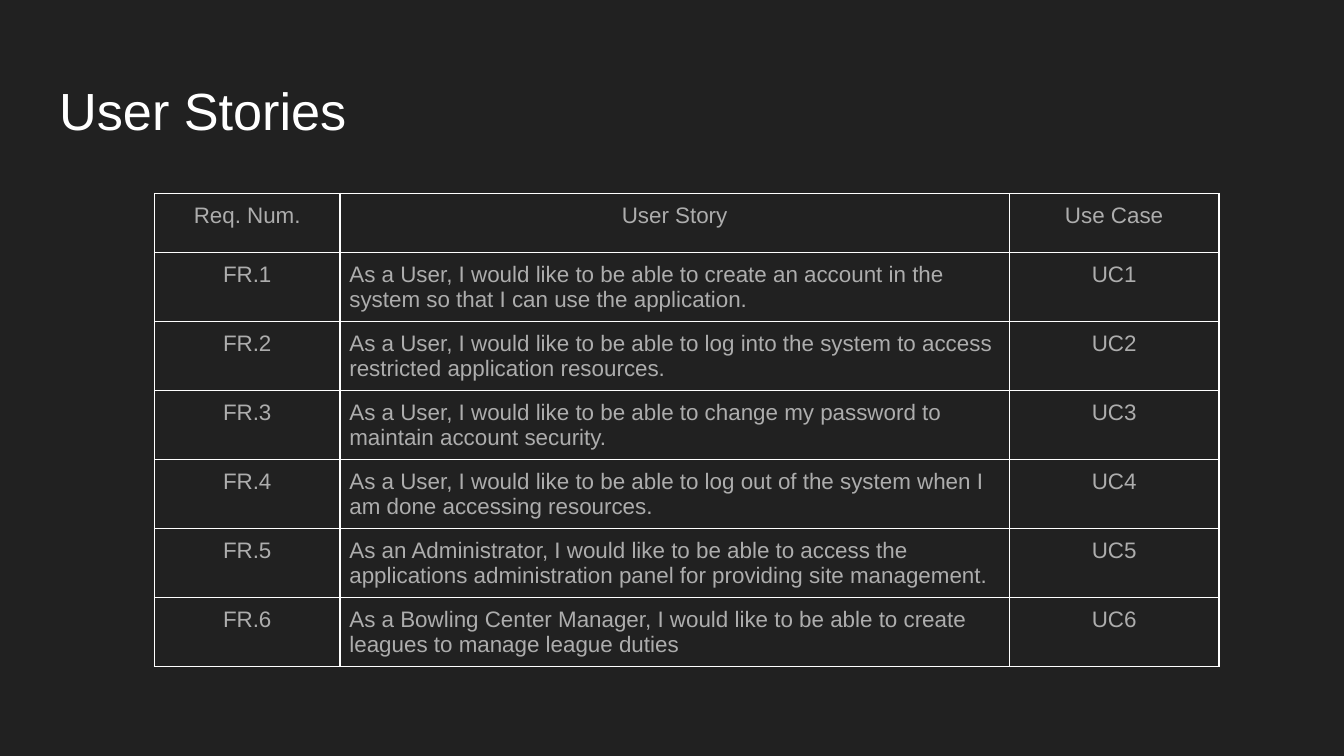
import dataclasses

import lxml.etree
import pptx
import pptx.dml.color
import pptx.enum.text
import pptx.oxml.ns
import pptx.slide
import pptx.table
import pptx.text.text
import pptx.util

Inches = pptx.util.Inches
Align = pptx.enum.text.PP_ALIGN

COLORS = {"back": "212121", "title": "FFFFFF", "text": "ADADAD", "line": "FFFFFF"}
FONT = "Arial"
WIDTHS = (1.38, 4.98, 1.56)
HEAD_HIGH = 0.44
ROW_HIGH = 0.51
INSET = 0.07


@dataclasses.dataclass(frozen=True)
class Story:
    need: str
    text: str
    case: str


GOALS = (
    "As a User, I would like to be able to create an account in the system so that I can use the application.",
    "As a User, I would like to be able to log into the system to access restricted application resources.",
    "As a User, I would like to be able to change my password to maintain account security.",
    "As a User, I would like to be able to log out of the system when I am done accessing resources.",
    "As an Administrator, I would like to be able to access the applications administration panel for providing site management.",
    "As a Bowling Center Manager, I would like to be able to create leagues to manage league duties",
)
HEAD = Story("Req. Num.", "User Story", "Use Case")
STORIES = [Story(f"FR.{n}", goal, f"UC{n}") for n, goal in enumerate(GOALS, 1)]


def get_color(name: str) -> pptx.dml.color.RGBColor:
    return pptx.dml.color.RGBColor.from_string(COLORS[name])


def set_text(frame: pptx.text.text.TextFrame, text: str, size: int, color: str, align: Align) -> None:
    frame.text = text
    line = frame.paragraphs[0]
    line.alignment = align
    font = line.runs[0].font
    font.name = FONT
    font.size = pptx.util.Pt(size)
    font.color.rgb = get_color(color)


def add_lines(cell: pptx.table._Cell) -> None:
    props = cell._tc.get_or_add_tcPr()
    name = pptx.oxml.ns.qn
    for place, side in enumerate(("lnL", "lnR", "lnT", "lnB")):
        line = lxml.etree.Element(name(f"a:{side}"), w=str(pptx.util.Pt(1)))
        fill = lxml.etree.SubElement(line, name("a:solidFill"))
        lxml.etree.SubElement(fill, name("a:srgbClr"), val=COLORS["line"])
        props.insert(place, line)


def fill_cell(cell: pptx.table._Cell, text: str, align: Align) -> None:
    cell.margin_left = cell.margin_right = Inches(INSET)
    cell.margin_top = cell.margin_bottom = Inches(INSET)
    cell.fill.background()
    set_text(cell.text_frame, text, 12, "text", align)
    add_lines(cell)


def add_title(slide: pptx.slide.Slide) -> None:
    title = slide.shapes.title
    title.left, title.top = Inches(0.34), Inches(0.48)
    title.width, title.height = Inches(9.32), Inches(0.63)
    frame = title.text_frame
    frame.margin_left = frame.margin_right = Inches(0.1)
    frame.margin_top = frame.margin_bottom = Inches(0.1)
    frame.vertical_anchor = pptx.enum.text.MSO_ANCHOR.TOP
    frame.auto_size = pptx.enum.text.MSO_AUTO_SIZE.NONE
    set_text(frame, "User Stories", 28, "title", Align.LEFT)


def add_grid(slide: pptx.slide.Slide) -> None:
    rows = [HEAD, *STORIES]
    high = HEAD_HIGH + ROW_HIGH * len(STORIES)
    grid = slide.shapes.add_table(
        len(rows), len(WIDTHS), Inches(1.15), Inches(1.44), Inches(sum(WIDTHS)), Inches(high)
    ).table
    grid.first_row = grid.horz_banding = False
    for column, width in zip(grid.columns, WIDTHS):
        column.width = Inches(width)
    for row, story in zip(grid.rows, rows):
        row.height = Inches(HEAD_HIGH if story is HEAD else ROW_HIGH)
        aligns = (Align.CENTER, Align.CENTER if story is HEAD else Align.LEFT, Align.CENTER)
        for cell, text, align in zip(row.cells, dataclasses.astuple(story), aligns):
            fill_cell(cell, text, align)


def main() -> None:
    deck = pptx.Presentation()
    deck.slide_width = Inches(10)
    deck.slide_height = deck.slide_width * 9 // 16
    slide = deck.slides.add_slide(deck.slide_layouts[5])
    slide.background.fill.solid()
    slide.background.fill.fore_color.rgb = get_color("back")
    add_title(slide)
    add_grid(slide)
    deck.save("out.pptx")


if __name__ == "__main__":
    main()
